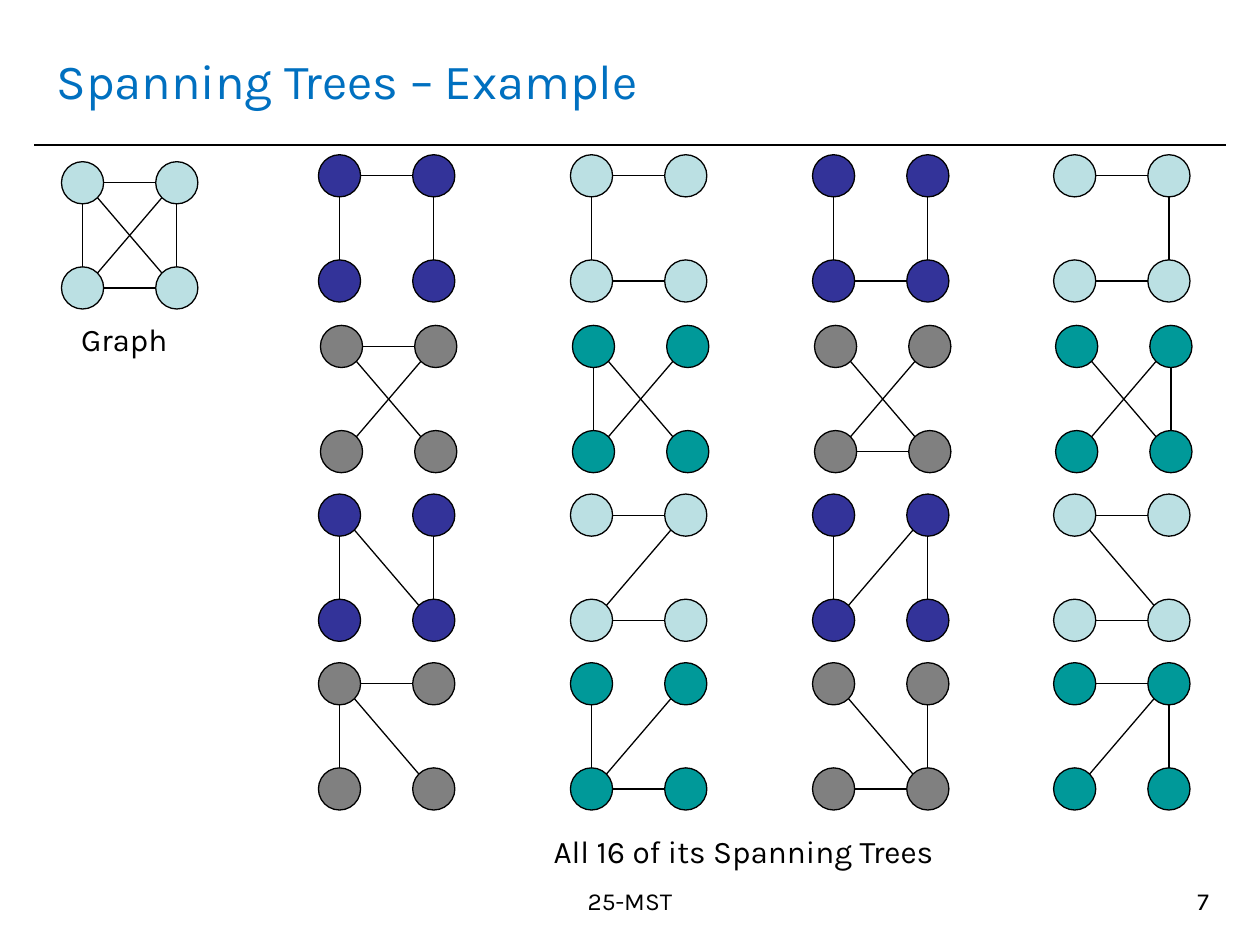
from math import cos, pi

from lxml import etree
from pptx import Presentation
from pptx.dml.color import RGBColor
from pptx.enum.shapes import MSO_CONNECTOR as Connector, MSO_SHAPE as Shape
from pptx.enum.text import MSO_ANCHOR as Anchor, PP_ALIGN as Align
from pptx.oxml.ns import qn
from pptx.util import Cm, Pt

BLACK = RGBColor(0x00, 0x00, 0x00)
TITLE_BLUE = RGBColor(0x00, 0x70, 0xC0)
PALE = RGBColor(0xBB, 0xE0, 0xE3)
NAVY = RGBColor(0x33, 0x33, 0x99)
GRAY = RGBColor(0x80, 0x80, 0x80)
TEAL = RGBColor(0x00, 0x99, 0x99)
FONT = "Karla"

# Text: wording, (left, top, width, height) in cm, size, colour, alignment, anchor
TEXTS = [
    ("Spanning Trees – Example", (0.89, 0.53, 23.6, 2.16), 28, TITLE_BLUE, Align.LEFT, Anchor.MIDDLE),
    ("25-MST", (8.5, 17.73, 8.4, 1.32), 14, BLACK, Align.CENTER, Anchor.TOP),
    ("7", (18.7, 17.73, 5.92, 1.32), 14, BLACK, Align.RIGHT, Anchor.TOP),
    ("Graph", (0.98, 6.32, 3.05, 1.02), 18, BLACK, Align.CENTER, Anchor.TOP),
    ("All 16 of its Spanning Trees", (10.3, 16.64, 9.38, 1.02), 18, BLACK, Align.CENTER, Anchor.TOP),
]

# Vertices as (column, row); an edge is named by its two vertices
VERTICES = {"A": (0, 0), "B": (1, 0), "C": (0, 1), "D": (1, 1)}
COMPLETE_GRAPH = "AB AC CD BD BC AD"

# Rows of spanning trees: left shift, top, two alternating colours, edges per tree
TREE_ROWS = [
    (0, 3.12, (NAVY, PALE), ["AB AC BD", "AB AC CD", "AC CD BD", "AB BD CD"]),
    (0.04, 6.56, (GRAY, TEAL), ["AB BC AD", "AC BC AD", "CD BC AD", "BD BC AD"]),
    (0, 9.96, (NAVY, PALE), ["AC BD AD", "AB CD BC", "AC BD BC", "AB CD AD"]),
    (0, 13.36, (GRAY, TEAL), ["AB AC AD", "AC CD BC", "CD BD AD", "AB BD BC"]),
]
TREE_LEFTS = [6.42, 11.5, 16.38, 21.24]

# Geometry of one graph, in cm
GRAPH_LEFT, GRAPH_TOP = 1.24, 3.26
DIAMETER = 0.85
STEP_X, STEP_Y = 1.9, 2.12


def add_line(shapes, start, end, width):
    line = shapes.add_connector(Connector.STRAIGHT, *map(Cm, start + end))
    line.line.color.rgb = BLACK
    line.line.width = Pt(width)
    etree.SubElement(line._element.spPr, qn("a:effectLst"))


def add_text(slide, text, box, size, color, align, anchor):
    frame = slide.shapes.add_textbox(*map(Cm, box)).text_frame
    frame.word_wrap = True
    frame.vertical_anchor = anchor
    paragraph = frame.paragraphs[0]
    paragraph.alignment = align
    run = paragraph.add_run()
    run.text = text
    run.font.name = FONT
    run.font.size = Pt(size)
    run.font.color.rgb = color


def add_graph(shapes, left, top, color, edges):
    radius = DIAMETER / 2
    for column, row in VERTICES.values():
        node = shapes.add_shape(Shape.OVAL, Cm(left + column * STEP_X), Cm(top + row * STEP_Y),
                                Cm(DIAMETER), Cm(DIAMETER))
        node.shadow.inherit = False
        node.fill.solid()
        node.fill.fore_color.rgb = color
        node.line.color.rgb = BLACK
        node.line.width = Pt(0.75)

    # Edges run from rim to rim; diagonals leave the circles at 45 degrees
    for first, second in edges.split():
        (column1, row1), (column2, row2) = VERTICES[first], VERTICES[second]
        across, down = column2 - column1, row2 - row1
        reach = radius * cos(pi / 4) if across and down else radius
        start = (left + radius + column1 * STEP_X + across * reach,
                 top + radius + row1 * STEP_Y + down * reach)
        end = (left + radius + column2 * STEP_X - across * reach,
               top + radius + row2 * STEP_Y - down * reach)
        add_line(shapes, start, end, 0.75)


def main():
    presentation = Presentation()
    presentation.slide_width, presentation.slide_height = Cm(25.4), Cm(19.05)
    slide = presentation.slides.add_slide(presentation.slide_layouts[6])

    # Rule under the title, then all wording
    add_line(slide.shapes, (0.69, 2.92), (24.71, 2.92), 1)
    for item in TEXTS:
        add_text(slide, *item)

    # The graph and its spanning trees, one group per row
    add_graph(slide.shapes, GRAPH_LEFT, GRAPH_TOP, PALE, COMPLETE_GRAPH)
    for shift, top, colors, trees in TREE_ROWS:
        row_group = slide.shapes.add_group_shape()
        for index, (left, edges) in enumerate(zip(TREE_LEFTS, trees)):
            add_graph(row_group.shapes, left + shift, top, colors[index % 2], edges)

    presentation.save("out.pptx")


if __name__ == "__main__":
    main()
